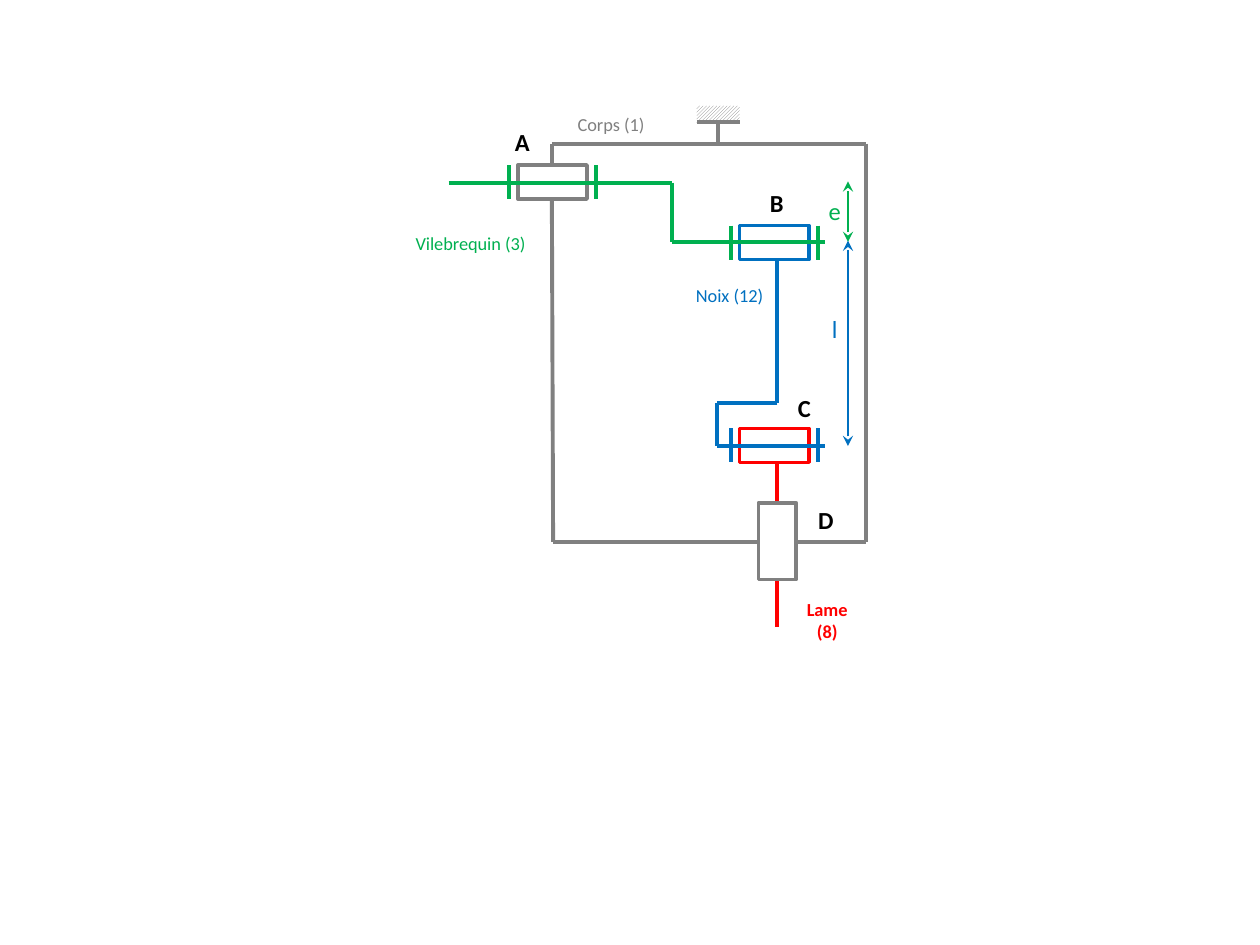
from itertools import pairwise
from lxml import etree
from pptx import Presentation
from pptx.dml.color import RGBColor
from pptx.enum.dml import MSO_PATTERN
from pptx.enum.shapes import MSO_CONNECTOR, MSO_SHAPE
from pptx.enum.text import PP_ALIGN
from pptx.oxml.ns import qn
from pptx.util import Inches, Pt

GRAY = RGBColor(0x80, 0x80, 0x80)
GREEN = RGBColor(0x00, 0xB0, 0x50)
BLUE = RGBColor(0x00, 0x70, 0xC0)
RED = RGBColor(0xFF, 0x00, 0x00)
BLACK = RGBColor(0, 0, 0)
WHITE = RGBColor(0xFF, 0xFF, 0xFF)
STRAIGHT = MSO_CONNECTOR.STRAIGHT
RECT = MSO_SHAPE.RECTANGLE
HATCH = MSO_PATTERN.LIGHT_UPWARD_DIAGONAL
CENTER = PP_ALIGN.CENTER

deck = Presentation()
deck.slide_width = Inches(10)
deck.slide_height = Inches(7.5)
slide = deck.slides.add_slide(deck.slide_layouts[6])
shapes = slide.shapes


def draw_path(x, y, points, color, width=2.25, arrows=False):
    for (x1, y1), (x2, y2) in pairwise(points):
        line = shapes.add_connector(STRAIGHT, Inches(x + x1), Inches(y + y1),
                                    Inches(x + x2), Inches(y + y2))
        line.line.color.rgb = color
        line.line.width = Pt(width)
        if arrows:
            for tag in ("a:headEnd", "a:tailEnd"):
                end = etree.SubElement(line.line._get_or_add_ln(), qn(tag))
                end.set("type", "stealth")
        etree.SubElement(line._element.spPr, qn("a:effectLst"))


def draw_rect(x, y, w, h, color):
    rect = shapes.add_shape(RECT, Inches(x), Inches(y), Inches(w), Inches(h))
    rect.shadow.inherit = False
    rect.fill.background()
    if color is None:
        rect.line.fill.background()
    else:
        rect.line.color.rgb = color
        rect.line.width = Pt(2)
    return rect


def add_label(x, y, w, h, text, color, size=10.5, bold=False):
    box = shapes.add_textbox(Inches(x), Inches(y), Inches(w), Inches(h))
    box.text_frame.word_wrap = True
    para = box.text_frame.paragraphs[0]
    para.text = text
    para.alignment = CENTER
    para.font.name = "Calibri"
    para.font.size = Pt(size)
    para.font.bold = bold
    para.font.color.rgb = color


def draw_pivot(x, y, sleeve, shaft):
    draw_rect(x, y, 0.55, 0.27, sleeve)
    for bar in (-0.07, 0.62):
        draw_path(x, y, [(bar, 0), (bar, 0.27)], shaft)


def draw_body(x, y):
    draw_path(x, y, [(0, 0.17), (0, 0), (2.49, 0), (2.49, 3.16), (1.94, 3.16)], GRAY)
    draw_path(x, y, [(0, 0.44), (0.01, 3.16), (1.64, 3.16)], GRAY)
    draw_path(x, y, [(1.32, -0.17), (1.32, 0)], GRAY)
    ground = draw_rect(x + 1.15, y - 0.3, 0.34, 0.14, None)
    ground.fill.patterned()
    ground.fill.pattern = HATCH
    ground.fill.fore_color.rgb = GRAY
    ground.fill.back_color.rgb = WHITE
    draw_path(x, y, [(1.15, -0.17), (1.49, -0.17)], GRAY)
    add_label(x, y - 0.29, 0.94, 0.28, "Corps (1)", GRAY)


def draw_crank(x, y):
    draw_path(x, y, [(0, 0), (1.77, 0), (1.77, 0.47), (2.99, 0.47)], GREEN)
    add_label(x - 0.41, y + 0.34, 1.17, 0.28, "Vilebrequin (3)", GREEN)


def draw_nut(x, y):
    draw_path(x, y, [(0, 0), (0, 1.14), (-0.48, 1.14), (-0.48, 1.48), (0.38, 1.48)], BLUE)
    add_label(x - 0.84, y + 0.15, 0.92, 0.28, "Noix (12)", BLUE)


def draw_blade(x, y):
    draw_path(x, y, [(0, 0), (0, 1.3)], RED)
    guide = draw_rect(x - 0.15, y + 0.31, 0.3, 0.61, GRAY)
    guide.fill.solid()
    guide.fill.fore_color.rgb = WHITE
    add_label(x + 0.09, y + 1.02, 0.61, 0.45, "Lame (8)", RED, bold=True)


def draw_gauge(x, y, span, text, drop, color):
    draw_path(x, y, [(0, span), (0, 0)], color, 1, True)
    add_label(x - 0.61, y + drop, 1.01, 0.34, text, color, 14)


draw_body(4.38, 1.14)
for x, y, sleeve, shaft in ((4.11, 1.31, GRAY, GREEN), (5.87, 1.79, BLUE, GREEN),
                            (5.87, 3.4, RED, BLUE)):
    draw_pivot(x, y, sleeve, shaft)
draw_blade(6.17, 3.68)
draw_nut(6.17, 2.06)
draw_crank(3.56, 1.45)
draw_gauge(6.73, 1.44, 0.48, "e", 0.07, GREEN)
draw_gauge(6.73, 1.91, 1.63, "l", 0.53, BLUE)
for name, x, y in (("A", 3.91, 0.96), ("B", 5.93, 1.44),
                   ("C", 6.15, 3.07), ("D", 6.32, 3.96)):
    add_label(x, y, 0.47, 0.34, name, BLACK, 14, True)

deck.save("out.pptx")
